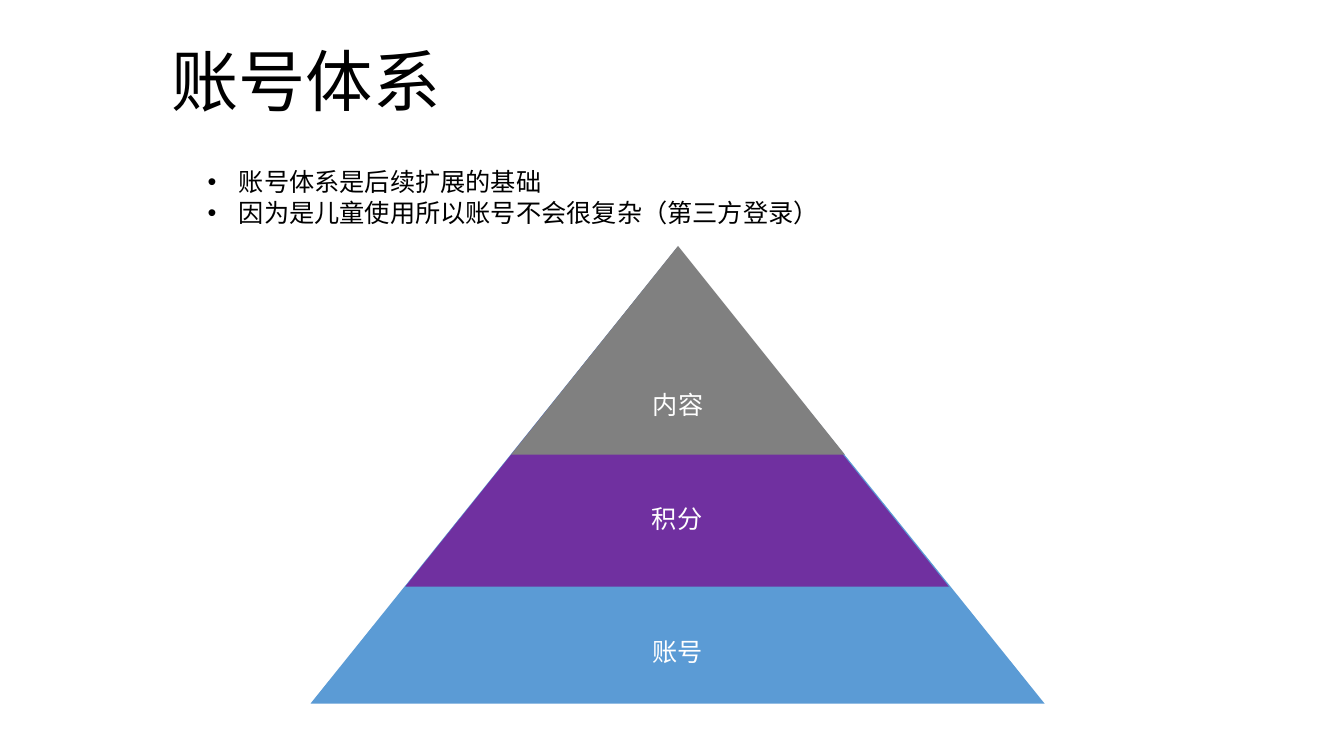
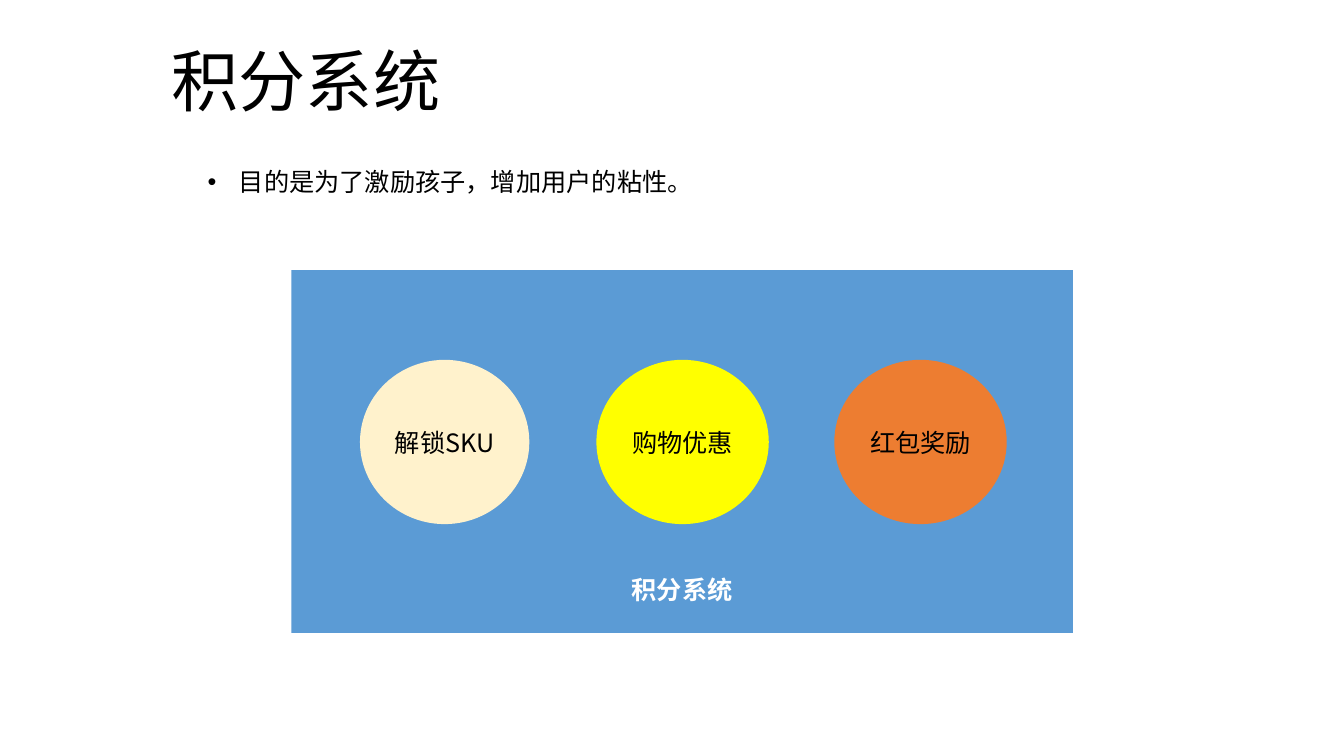
"""Build two slides on the account pyramid and the points system."""
import pptx
import pptx.dml.color
import pptx.enum.shapes
import pptx.enum.text
import pptx.oxml.ns
import pptx.util
from lxml import etree

Inches = pptx.util.Inches
Pt = pptx.util.Pt
SHAPE = pptx.enum.shapes.MSO_SHAPE
ALIGN = pptx.enum.text.PP_ALIGN
FONT = "Noto Sans CJK SC"
COLORS = {
    "black": "000000",
    "white": "FFFFFF",
    "blue": "5B9BD5",
    "purple": "7030A0",
    "gray": "808080",
    "cream": "FFF2CC",
    "yellow": "FFFF00",
    "orange": "ED7D31",
}
FRAME_FORMAT = {
    "word_wrap": True,
    "auto_size": pptx.enum.text.MSO_AUTO_SIZE.NONE,
    "vertical_anchor": pptx.enum.text.MSO_ANCHOR.MIDDLE,
    "margin_left": Inches(0.1),
    "margin_right": Inches(0.1),
    "margin_top": Inches(0.05),
    "margin_bottom": Inches(0.05),
}
TITLE_FORMAT = {"alignment": ALIGN.LEFT}
BODY_FORMAT = {
    "alignment": ALIGN.LEFT,
    "line_spacing": Pt(22),
    "space_before": Pt(0),
}
LABEL_FORMAT = {"alignment": ALIGN.CENTER, "line_spacing": Pt(22)}


def rgb(name):
    """Return the named colour."""
    return pptx.dml.color.RGBColor.from_string(COLORS[name])


def apply_format(target, values):
    """Set every attribute of a format dict."""
    for name, value in values.items():
        setattr(target, name, value)


def place(shape, left, top, width, height):
    """Move and size a shape, in inches."""
    bounds = {"left": left, "top": top, "width": width, "height": height}
    apply_format(shape, {name: Inches(value) for name, value in bounds.items()})


def write(shape, lines, paragraph_format, size=18, color="black", bold=False):
    """Fill a shape with one formatted paragraph per line."""
    frame = shape.text_frame
    apply_format(frame, FRAME_FORMAT)
    frame.text = "\n".join(lines)
    for paragraph in frame.paragraphs:
        apply_format(paragraph, paragraph_format)
        for run in paragraph.runs:
            apply_format(run.font, {"name": FONT, "size": Pt(size), "bold": bold})
            run.font.color.rgb = rgb(color)
            east_asian = etree.SubElement(
                run._r.get_or_add_rPr(), pptx.oxml.ns.qn("a:ea"))
            east_asian.set("typeface", FONT)


def add_topic(deck, title, points, points_width, points_height):
    """Add a slide with its title and bullet list."""
    slide = deck.slides.add_slide(deck.slide_layouts[1])
    place(slide.shapes.title, 1.6, 0.34, 2.89, 0.91)
    write(slide.shapes.title, [title], TITLE_FORMAT, size=48)
    body = slide.placeholders[1]
    place(body, 1.96, 1.6, points_width, points_height)
    write(body, points, BODY_FORMAT)
    for paragraph in body.text_frame.paragraphs:
        properties = paragraph._p.get_or_add_pPr()
        properties.set("marL", str(Inches(0.31)))
        properties.set("indent", str(-Inches(0.31)))
    return slide


def add_block(shapes, kind, bounds, fill, label, color, drop=0, bold=False):
    """Add a filled shape whose label sits the given drop below centre."""
    block = shapes.add_shape(kind, *map(Inches, bounds))
    block.shadow.inherit = False
    block.fill.solid()
    block.fill.fore_color.rgb = rgb(fill)
    block.line.fill.background()
    write(block, [label], LABEL_FORMAT, color=color, bold=bold)
    block.text_frame.margin_top = Inches(0.05 + 2 * drop)


def add_pyramid(slide):
    """Stack overlapping triangles into a three-level pyramid."""
    levels = [
        ("账号", "blue", (3.08, 2.45, 7.28, 4.53), 0.61),
        ("积分", "purple", (4.02, 2.46, 5.39, 3.36), 0.16),
        ("内容", "gray", (5.07, 2.44, 3.31, 2.07), 0.02),
    ]
    pyramid = slide.shapes.add_group_shape()
    for label, fill, bounds, drop in levels:
        add_block(pyramid.shapes, SHAPE.ISOSCELES_TRIANGLE, bounds, fill,
                  label, "white", drop)


def add_points_system(slide):
    """Add the system panel and its evenly spaced rewards."""
    add_block(slide.shapes, SHAPE.RECTANGLE, (2.89, 2.68, 7.75, 3.6), "blue",
              "积分系统", "white", drop=1.36, bold=True)
    rewards = [
        ("解锁SKU", "cream", 1.68),
        ("购物优惠", "yellow", 1.71),
        ("红包奖励", "orange", 1.71),
    ]
    for index, (label, fill, width) in enumerate(rewards):
        center = 4.41 + 2.36 * index
        add_block(slide.shapes, SHAPE.FLOWCHART_CONNECTOR,
                  (center - width / 2, 3.57, width, 1.63), fill, label, "black")


def main():
    """Build and save the deck."""
    deck = pptx.Presentation()
    deck.slide_width = Inches(13.33)
    deck.slide_height = Inches(7.5)
    accounts = add_topic(
        deck, "账号体系",
        ["账号体系是后续扩展的基础", "因为是儿童使用所以账号不会很复杂（第三方登录）"],
        6.32, 0.71)
    add_pyramid(accounts)
    points = add_topic(
        deck, "积分系统", ["目的是为了激励孩子，增加用户的粘性。"], 5.06, 0.4)
    add_points_system(points)
    deck.save("out.pptx")


main()
